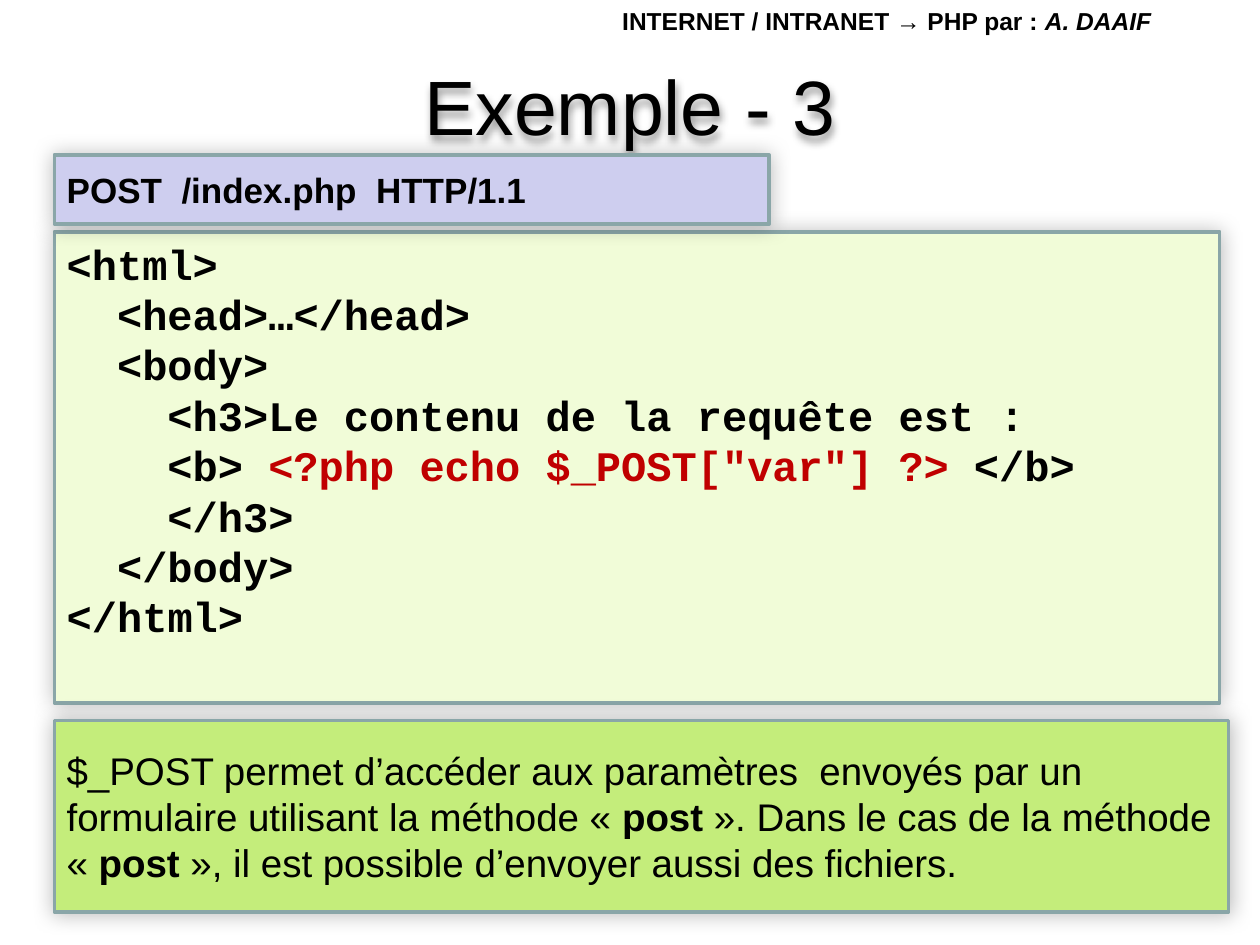
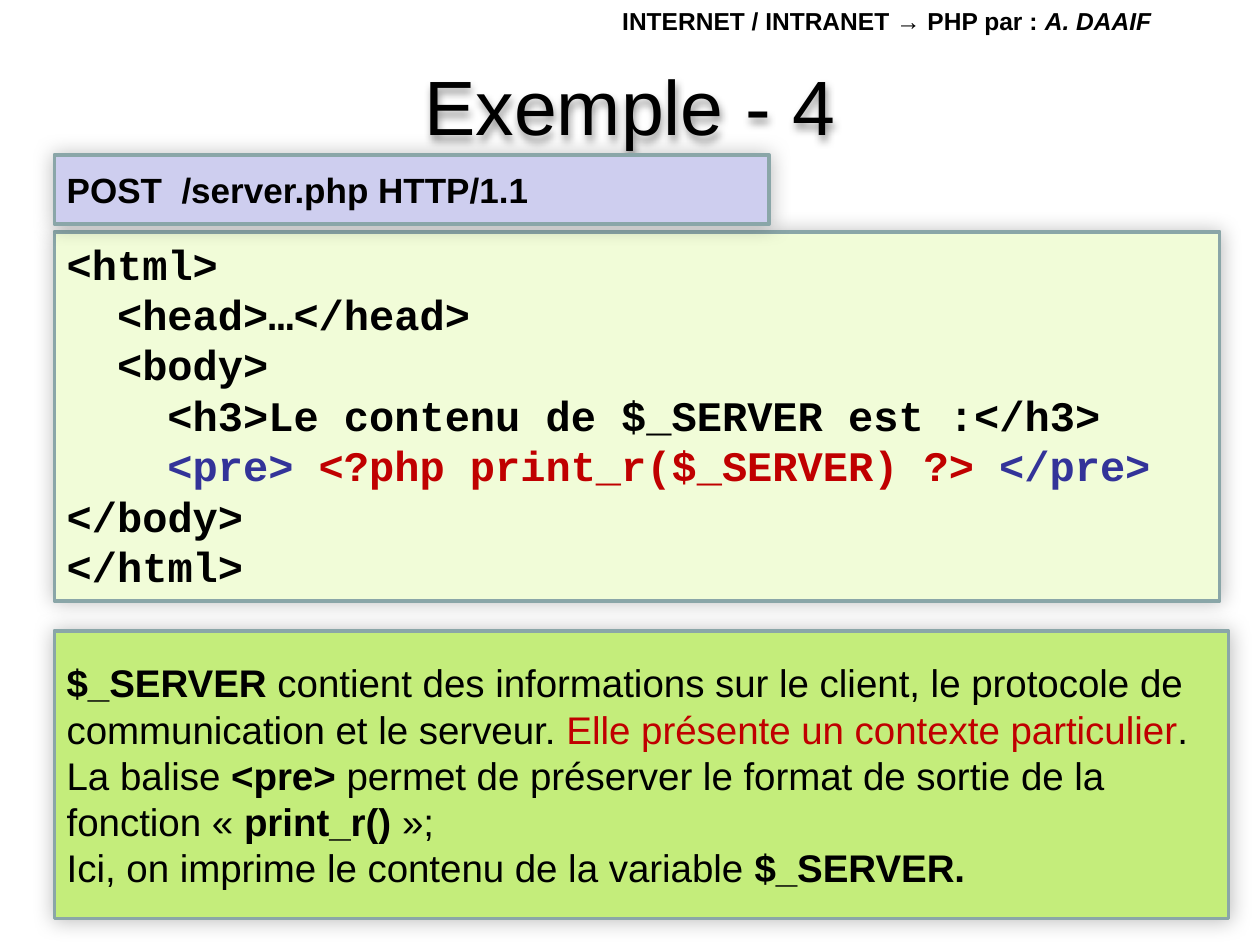
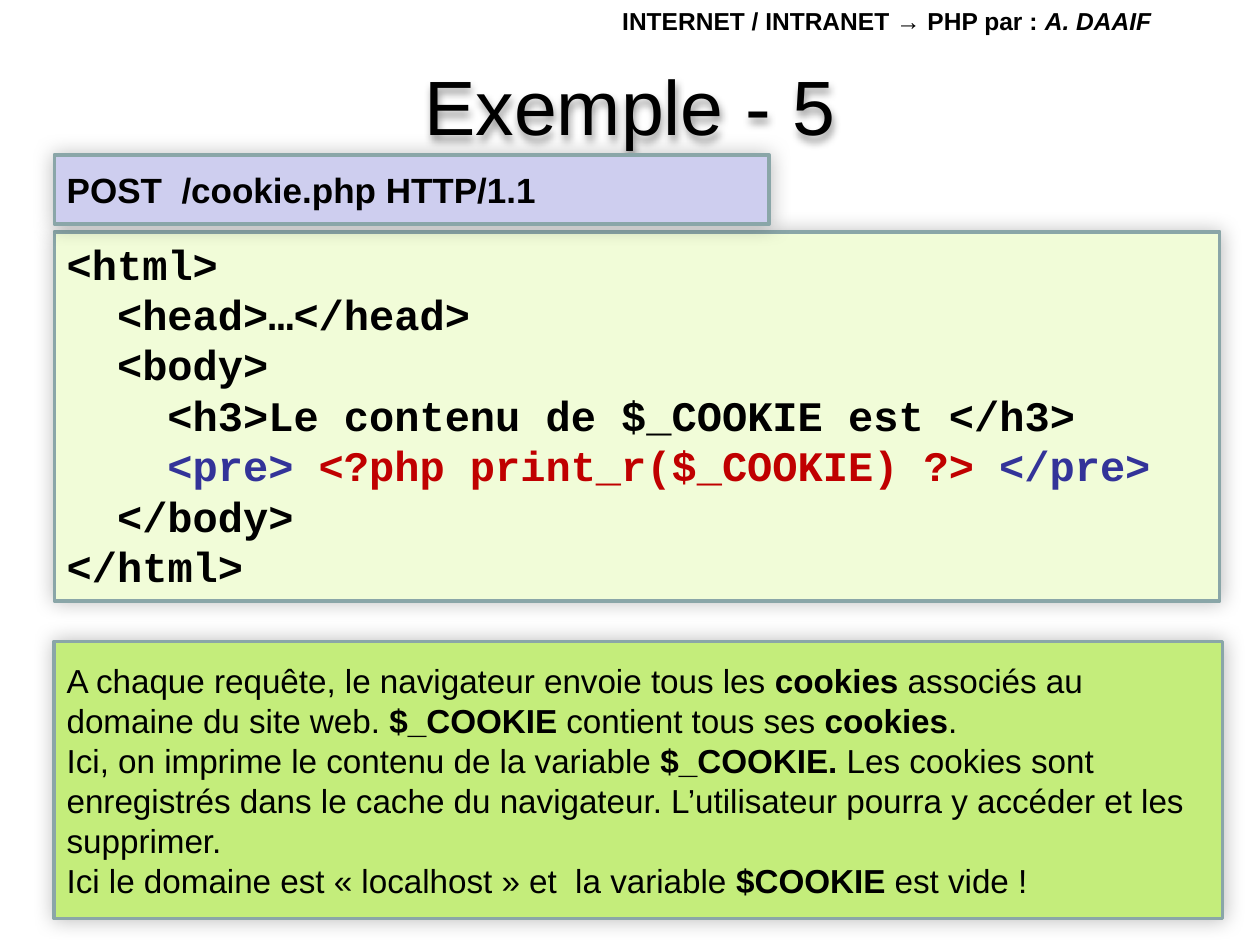
from lxml import etree
from pptx import Presentation
from pptx.dml.color import RGBColor
from pptx.enum import shapes, text
from pptx.oxml import ns
from pptx.util import Pt

BLACK, RED, BLUE = "000000", "C00000", "333399"
EDGE, CODE, NOTE, QUERY = "8AA6A8", "F1FCD8", "C4ED7B", "CECEEF"
LEFT = 31
STEP = 14.4  # width of one 24 pt Courier New character

# A line is a list of runs; a run is plain text or (text, bold, colour).
HEAD = [["INTERNET / INTRANET → PHP par : ", ("A. DAAIF", "i")]]
OPEN = [["<html>"], ["  <head>…</head>"], ["  <body>"]]


def bold(words):
    return words, "b"


def red(words):
    return words, RED


def blue(words):
    return words, BLUE


def dump(name):
    """Lines of code that print one PHP variable."""
    return ["    ", blue("<pre> "), red(f"<?php print_r({name}) ?> "),
            blue("</pre>")]


SLIDES = [
    dict(
        title="Exemple - 3",
        query="POST  /index.php  HTTP/1.1",
        code=OPEN + [
            ["    <h3>Le contenu de la requête est :"],
            ["    <b> ", red('<?php echo $_POST["var"] ?>'), " </b>"],
            ["    </h3>"], ["  </body>"], ["</html>"]],
        deep=269.3,
        note=[["$_POST permet d’accéder aux paramètres  envoyés par un "
               "formulaire utilisant la méthode « ", bold("post"),
               " ». Dans le cas de la méthode « ", bold("post"),
               " », il est possible d’envoyer aussi des fichiers."]],
        place=(411.8, 671, 109.4), size=22),
    dict(
        title="Exemple - 4",
        query="POST  /server.php HTTP/1.1",
        code=OPEN + [
            ["    <h3>Le contenu de $_SERVER est :</h3>"],
            dump("$_SERVER"), ["</body>"], ["</html>"]],
        deep=211,
        note=[[bold("$_SERVER "),
               "contient des informations sur le client, le protocole de "
               "communication et le serveur.",
               red(" Elle présente un contexte particulier"), "."],
              ["La balise ", bold("<pre> "),
               "permet de préserver le format de sortie de la fonction « ",
               bold("print_r() "), "»;"],
              ["Ici, on imprime le contenu de la variable ",
               bold("$_SERVER.")]],
        place=(360.5, 671, 164.5), size=22),
    dict(
        title="Exemple - 5",
        query="POST  /cookie.php HTTP/1.1",
        code=OPEN + [
            ["    <h3>Le contenu de $_COOKIE est </h3>"],
            dump("$_COOKIE"), ["  </body>"], ["</html>"]],
        deep=211,
        note=[["A chaque requête, le navigateur envoie tous les ",
               bold("cookies"), " associés au domaine du site web. ",
               bold("$_COOKIE "), "contient tous ses ", bold("cookies"), "."],
              ["Ici, on imprime le contenu de la variable ",
               bold("$_COOKIE. "),
               "Les cookies sont enregistrés dans le cache du navigateur. "
               "L’utilisateur pourra y accéder et les supprimer."],
              ["Ici le domaine est « localhost » et  la variable ",
               bold("$COOKIE "), "est vide !"]],
        place=(366.5, 667.5, 158.5), size=19),
]


def rgb(code):
    return RGBColor.from_string(code)


def shade(shape, blur, dist, alpha):
    """Give the shape a soft black shadow that falls downwards."""
    shape.shadow.inherit = False
    effects = shape._element.spPr.find(ns.qn("a:effectLst"))
    outer = etree.SubElement(
        effects, ns.qn("a:outerShdw"), blurRad=str(Pt(blur)),
        dist=str(Pt(dist)), dir="5400000", algn="ctr", rotWithShape="0")
    tint = etree.SubElement(outer, ns.qn("a:srgbClr"), val=BLACK)
    etree.SubElement(tint, ns.qn("a:alpha"), val=str(alpha * 1000))


def write(shape, lines, size, face="Arial", heavy=False, middle=True,
          align=text.PP_ALIGN.LEFT):
    """Fill the shape with lines; leading spaces become an indent."""
    frame = shape.text_frame
    frame.word_wrap = True
    frame.vertical_anchor = (text.MSO_ANCHOR.MIDDLE if middle
                             else text.MSO_ANCHOR.TOP)
    for i, line in enumerate(lines):
        para = frame.add_paragraph() if i else frame.paragraphs[0]
        para.alignment = align
        font = para.font
        font.name, font.size, font.bold = face, Pt(size), heavy
        font.color.rgb = rgb(BLACK)
        runs = [(r, "") if isinstance(r, str) else r for r in line]
        start = "".join(words for words, _ in runs)
        indent = len(start) - len(start.lstrip(" "))
        if indent:
            props = para._p.get_or_add_pPr()
            props.set("marL", str(Pt(indent * STEP)))
            props.set("indent", "0")
            runs[0] = (runs[0][0].lstrip(" "), runs[0][1])
        for words, look in runs:
            if not words:
                continue
            run = para.add_run()
            run.text = words
            if look == "b":
                run.font.bold = True
            elif look == "i":
                run.font.italic = True
            elif look:
                run.font.color.rgb = rgb(look)


def label(slide, box, lines, size, **style):
    shape = slide.shapes.add_textbox(*map(Pt, box))
    write(shape, lines, size, **style)
    return shape


def panel(slide, box, fill, lines, size, **style):
    shape = slide.shapes.add_shape(shapes.MSO_SHAPE.RECTANGLE, *map(Pt, box))
    shape.fill.solid()
    shape.fill.fore_color.rgb = rgb(fill)
    shape.line.color.rgb = rgb(EDGE)
    shape.line.width = Pt(2)
    shade(shape, 12, 0, 25)
    write(shape, lines, size, **style)


def build(deck, title, query, code, deep, note, place, size):
    slide = deck.slides.add_slide(deck.slide_layouts[6])
    name = label(slide, (36, 31.5, 648, 57), [[title]], 44,
                 align=text.PP_ALIGN.CENTER)
    shade(name, 5, 3, 40)
    label(slide, (348.5, 0, 371.5, 26.5), HEAD, 14, heavy=True, middle=False)
    panel(slide, (LEFT, 132.5, 666, deep), CODE, code, 24,
          face="Courier New", heavy=True, middle=False)
    top, wide, high = place
    panel(slide, (LEFT, top, wide, high), NOTE, note, size)
    panel(slide, (LEFT, 88.5, 408.5, 39.5), QUERY, [[query]], 20, heavy=True)


def main():
    deck = Presentation()
    deck.slide_width, deck.slide_height = Pt(720), Pt(540)
    for parts in SLIDES:
        build(deck, **parts)
    deck.save("out.pptx")


if __name__ == "__main__":
    main()
